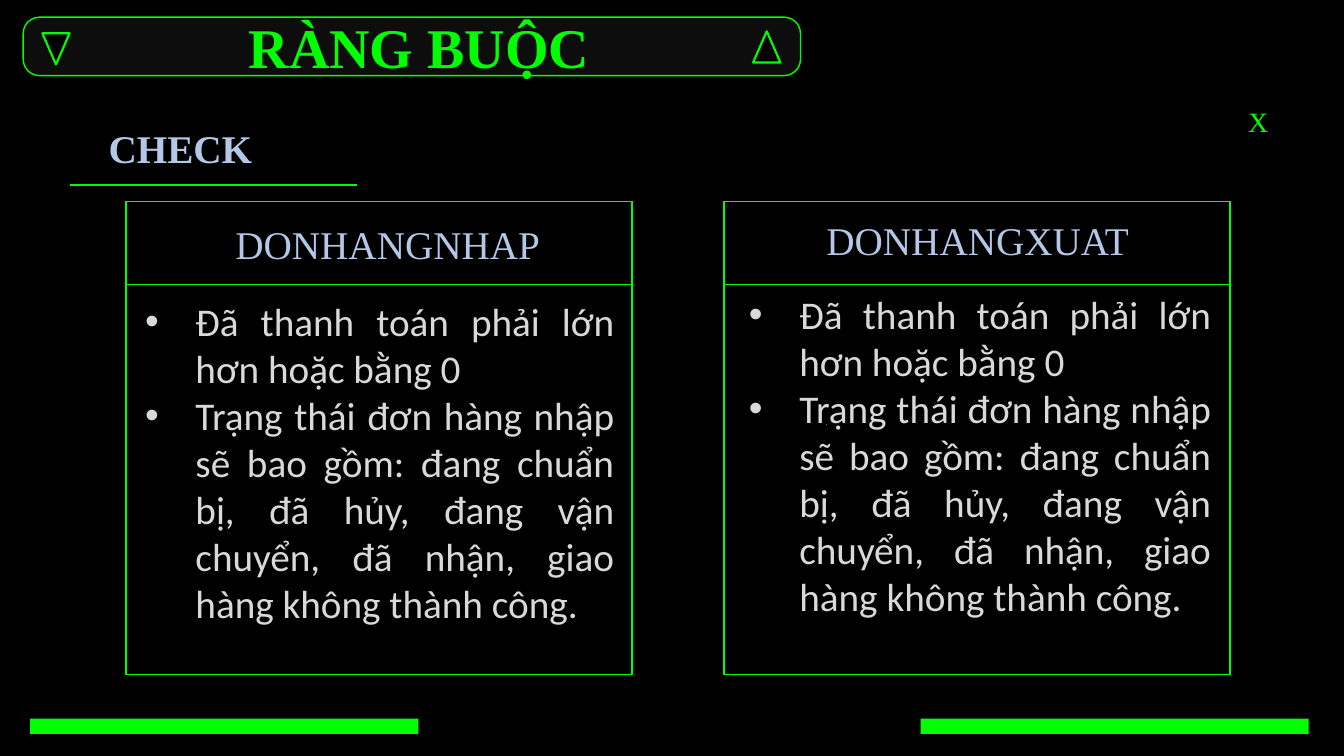
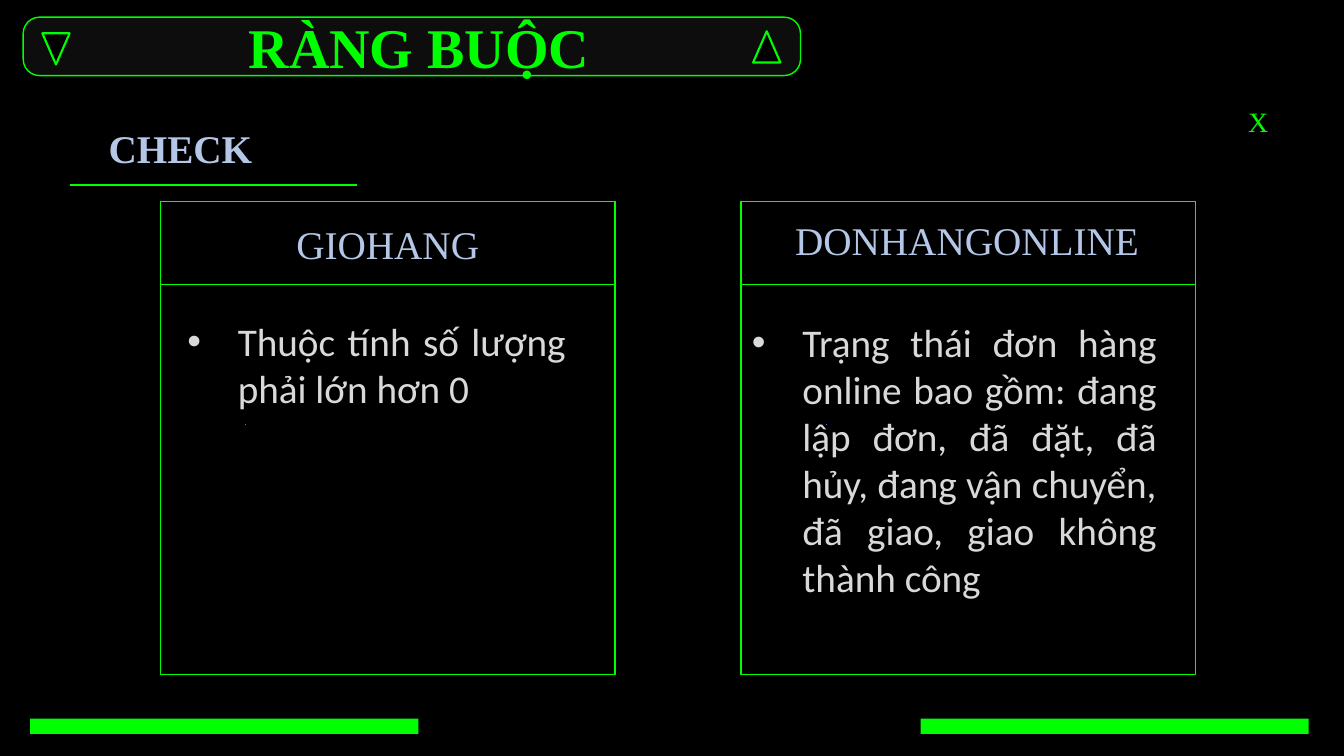
import pptx
import pptx.util
import pptx.dml.color
import pptx.enum.shapes
import pptx.enum.text
import pptx.oxml.ns
import lxml.etree

Inches = pptx.util.Inches
Pt = pptx.util.Pt
MSO_SHAPE = pptx.enum.shapes.MSO_SHAPE
PP_ALIGN = pptx.enum.text.PP_ALIGN
qn = pptx.oxml.ns.qn

GREEN, BLACK, DARK = "00FF00", "000000", "0D0D0D"
PALE_BLUE, GRAY, BLUE = "B4C7E7", "D9D9D9", "4472C4"
SERIF, SANS = "Times New Roman", "Calibri"


def paint(fmt, color):
    if isinstance(fmt, pptx.dml.fill.FillFormat):
        fmt.solid()
        fmt = fmt.fore_color
    fmt.rgb = pptx.dml.color.RGBColor.from_string(color)


def add_text(s, box, texts, size, color, font=SERIF, align=PP_ALIGN.CENTER, bold=False, bullet=False):
    sp = s.shapes.add_textbox(*map(Inches, box))
    tf = sp.text_frame
    tf.word_wrap = True
    tf.auto_size = pptx.enum.text.MSO_AUTO_SIZE.SHAPE_TO_FIT_TEXT
    for i, text in enumerate(texts):
        p = tf.add_paragraph() if i else tf.paragraphs[0]
        p.alignment = align
        if bullet:
            pPr = p._p.get_or_add_pPr()
            pPr.set("marL", str(Inches(0.5)))
            pPr.set("indent", str(Inches(-0.5)))
            lxml.etree.SubElement(pPr, qn("a:buFont")).set("typeface", "Arial")
            lxml.etree.SubElement(pPr, qn("a:buChar")).set("char", "•")
        r = p.add_run()
        r.text = text
        r.font.name, r.font.size, r.font.bold = font, Pt(size), bold
        paint(r.font.color, color)
    return sp


ORDER_RULES = [
    "Đã thanh toán phải lớn hơn hoặc bằng 0",
    "Trạng thái đơn hàng nhập sẽ bao gồm: đang chuẩn bị, đã hủy, đang vận chuyển, "
    "đã nhận, giao hàng không thành công.",
]
CART_RULES = ["Thuộc tính số lượng phải lớn hơn 0"]
ONLINE_RULES = [
    "Trạng thái đơn hàng online bao gồm: đang lập đơn, đã đặt, đã hủy, "
    "đang vận chuyển, đã giao, giao không thành công",
]
PANEL_TOP, PANEL_HEIGHT, HEAD_HEIGHT = 2, 4.69, 0.82

# panel left, panel width, heading, heading box, rules, rules box
slides = [
    [
        (1.25, 5.02, "DONHANGNHAP", (2.01, 2.14, 3.67, 0.57), ORDER_RULES, (1.34, 2.9, 4.85, 3.4)),
        (7.18, 5.02, "DONHANGXUAT", (7.94, 2.1, 3.51, 0.57), ORDER_RULES, (7.33, 2.83, 4.78, 3.4)),
    ],
    [
        (1.59, 4.51, "GIOHANG", (2.01, 2.14, 3.67, 0.57), CART_RULES, (1.76, 3.1, 3.95, 1.04)),
        (7.35, 4.51, "DONHANGONLINE", (7.73, 2.1, 3.72, 0.57), ONLINE_RULES, (7.36, 3.11, 4.21, 2.93)),
    ],
]

prs = pptx.Presentation()
prs.slide_width, prs.slide_height = Inches(13.33), Inches(7.5)
paint(prs.slide_master.background.fill, BLACK)

for panels in slides:
    s = prs.slides.add_slide(prs.slide_layouts[6])

    shapes = [
        (MSO_SHAPE.ROUNDED_RECTANGLE, (0.23, 0.17, 7.71, 0.58), DARK, 1, 0),
        (MSO_SHAPE.ISOSCELES_TRIANGLE, (0.42, 0.33, 0.27, 0.31), BLACK, 1.5, 180),
        (MSO_SHAPE.ISOSCELES_TRIANGLE, (7.47, 0.31, 0.27, 0.31), BLACK, 1.5, 0),
        (MSO_SHAPE.RECTANGLE, (0.3, 7.13, 3.85, 0.15), GREEN, 0, 0),
        (MSO_SHAPE.RECTANGLE, (9.13, 7.13, 3.85, 0.15), GREEN, 0, 0),
    ]
    lines = [(0.69, 1.84, 3.54, GREEN, 1.5), (2.43, 4.21, 2.44, BLUE, 0.5), (8.19, 4.21, 8.2, BLUE, 0.5)]
    for left, width, heading, heading_box, rules, rules_box in panels:
        for height in (PANEL_HEIGHT, HEAD_HEIGHT):
            shapes.append((MSO_SHAPE.RECTANGLE, (left, PANEL_TOP, width, height), None, 1, 0))

    for kind, box, fill, weight, angle in shapes:
        sp = s.shapes.add_shape(kind, *map(Inches, box))
        sp.shadow.inherit = False
        sp.rotation = angle
        if kind == MSO_SHAPE.ROUNDED_RECTANGLE:
            sp.adjustments[0] = 0.28
        if fill:
            paint(sp.fill, fill)
        else:
            sp.fill.background()
        if weight:
            paint(sp.line.fill, GREEN)
            sp.line.width = Pt(weight)
        else:
            sp.line.fill.background()

    for x1, y, x2, color, weight in lines:
        cn = s.shapes.add_connector(
            pptx.enum.shapes.MSO_CONNECTOR.STRAIGHT, Inches(x1), Inches(y), Inches(x2), Inches(y))
        paint(cn.line.fill, color)
        cn.line.width = Pt(weight)
        lxml.etree.SubElement(cn._element.spPr, qn("a:effectLst"))

    title = add_text(s, (1.59, 0.08, 5.13, 0.77), ["RÀNG BUỘC"], 40, GREEN, bold=True)
    rPr = title.text_frame.paragraphs[0].runs[0].font._element
    ln = lxml.etree.Element(qn("a:ln"), w=str(Pt(0.75)))
    fill = lxml.etree.SubElement(ln, qn("a:solidFill"))
    lxml.etree.SubElement(fill, qn("a:srgbClr")).set("val", GREEN)
    rPr.insert(0, ln)

    add_text(s, (12.28, 0.99, 0.28, 0.44), ["X"], 20, GREEN, align=PP_ALIGN.LEFT)
    subtitle = add_text(s, (0.56, 1.18, 3.04, 0.57), ["CHECK"], 28, PALE_BLUE, bold=True)
    subtitle.text_frame.margin_right = Inches(0.68)

    for left, width, heading, heading_box, rules, rules_box in panels:
        add_text(s, rules_box, rules, 28, GRAY, SANS, PP_ALIGN.JUSTIFY, bullet=True)
        add_text(s, heading_box, [heading], 28, PALE_BLUE)

prs.save("out.pptx")
